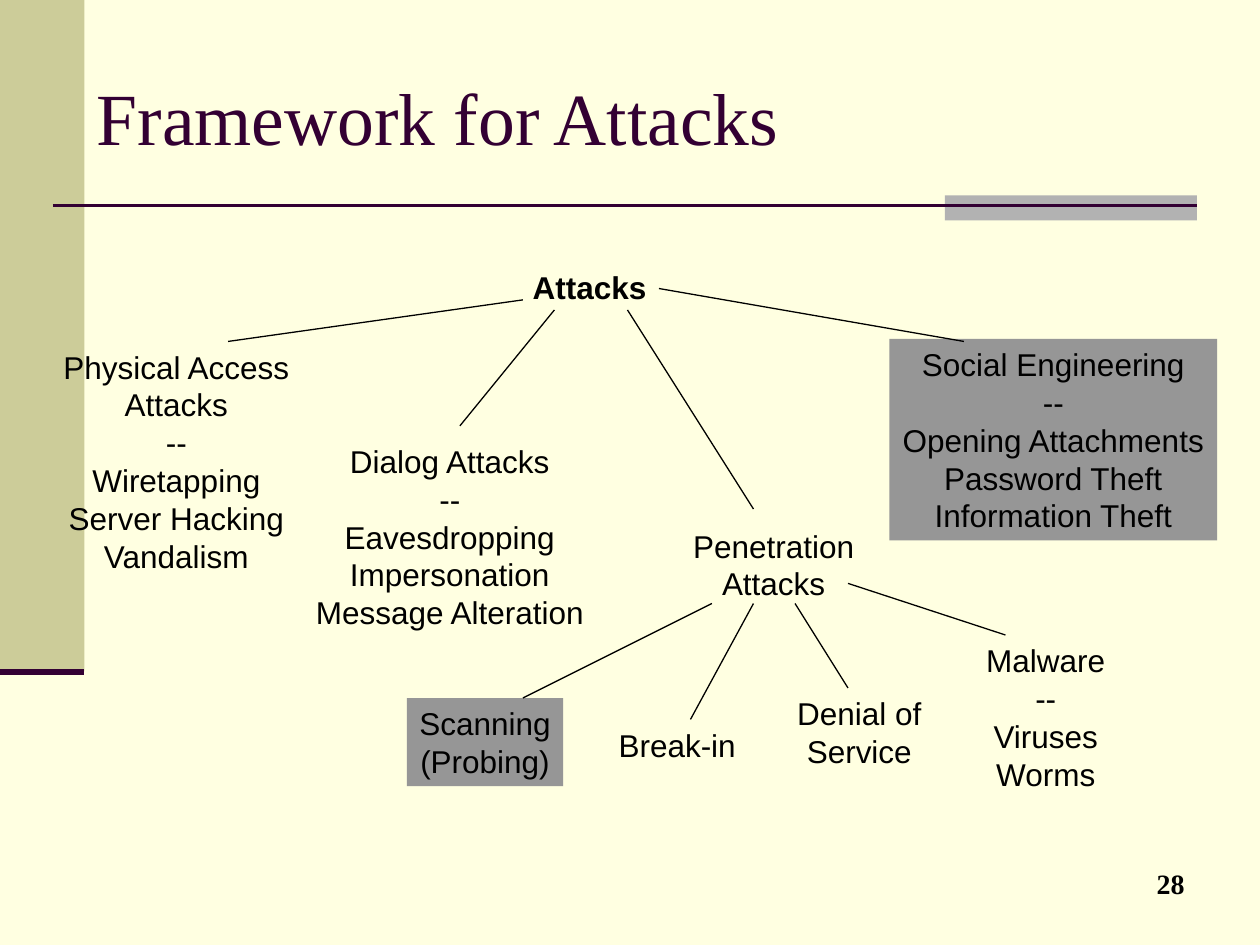
from dataclasses import dataclass

import pptx
import pptx.dml.color
import pptx.enum.shapes
import pptx.enum.text
import pptx.oxml
import pptx.oxml.ns
import pptx.slide
import pptx.util

COLUMNS, ROWS = 100, 75
CELL = pptx.util.Inches(0.1)
LINE_ROWS, PADDING_ROWS = 3, 1
COLORS = {
    "background": "FFFFE1",
    "sidebar": "CCCC99",
    "accent": "B2B2B2",
    "title": "330033",
    "highlight": "969696",
    "text": "000000",
}
ALIGN = pptx.enum.text.PP_ALIGN
ANCHOR = pptx.enum.text.MSO_ANCHOR
AUTO_SIZE = pptx.enum.text.MSO_AUTO_SIZE


@dataclass(frozen=True)
class Block:
    column: float
    row: float
    columns: float
    rows: float
    color: str


@dataclass(frozen=True)
class Rule:
    column: float
    row: float
    end_column: float
    end_row: float
    color: str = "text"
    weight: float = 0.75


@dataclass(frozen=True)
class Label:
    column: float
    row: float
    columns: float
    lines: tuple[str, ...]
    rows: float | None = None
    highlighted: bool = False
    align: ALIGN = ALIGN.CENTER
    anchor: ANCHOR = ANCHOR.TOP
    wrap: bool = False
    font: str = "Arial"
    size: float = 18
    bold: bool = False
    color: str = "text"


DECORATION = (
    Block(0, 0, 6.7, 53.3, "sidebar"),
    Block(75, 15.5, 20, 2, "accent"),
)
DECORATION_RULES = (
    Rule(4.2, 16.3, 95, 16.3, "title", 1.5),
    Rule(0, 53.3, 6.7, 53.3, "title", 3.5),
)
LABELS = (
    Label(6.7, 3, 85, ("Framework for Attacks",), rows=12.5, align=ALIGN.LEFT,
          anchor=ANCHOR.MIDDLE, wrap=True, font="Times New Roman", size=42, color="title"),
    Label(41.3, 20.8, 11, ("Attacks",), align=ALIGN.LEFT, bold=True),
    Label(4, 27.1, 20, ("Physical Access", "Attacks", "--", "Wiretapping",
                        "Server Hacking", "Vandalism")),
    Label(24, 34.6, 23.4, ("Dialog Attacks", "--", "Eavesdropping", "Impersonation",
                           "Message Alteration")),
    Label(54, 41.3, 14.8, ("Penetration", "Attacks")),
    Label(70.6, 26.9, 26, ("Social Engineering", "--", "Opening Attachments",
                           "Password Theft", "Information Theft"), highlighted=True),
    Label(32.3, 55.4, 12.4, ("Scanning", "(Probing)"), highlighted=True),
    Label(48.1, 57.1, 11.3, ("Break-in",)),
    Label(62.2, 54.6, 12, ("Denial of", "Service")),
    Label(77.2, 50.4, 11.6, ("Malware", "--", "Viruses", "Worms")),
    Label(74.2, 68.3, 20.8, ("28",), rows=5, align=ALIGN.RIGHT, wrap=True,
          font="Times New Roman", size=16, bold=True),
)
BRANCHES = (
    Rule(41.5, 23.8, 18.1, 27.1),
    Rule(44, 24.6, 36.5, 33.8),
    Rule(52.3, 22.9, 76.5, 27.1),
    Rule(49.8, 24.6, 59.8, 40.4),
    Rule(67.3, 46.3, 79.8, 50.4),
    Rule(63.1, 47.9, 67.3, 54.6),
    Rule(59.8, 47.9, 54.8, 57.1),
    Rule(56.5, 47.9, 41.5, 55.4),
)


def cells(*counts: float) -> list[int]:
    return [round(count * CELL) for count in counts]


def rgb(name: str) -> pptx.dml.color.RGBColor:
    return pptx.dml.color.RGBColor.from_string(COLORS[name])


def draw_block(slide: pptx.slide.Slide, block: Block) -> None:
    shape = slide.shapes.add_shape(
        pptx.enum.shapes.MSO_SHAPE.RECTANGLE,
        *cells(block.column, block.row, block.columns, block.rows))
    shape.shadow.inherit = False
    shape.fill.solid()
    shape.fill.fore_color.rgb = rgb(block.color)
    shape.line.fill.background()


def draw_rule(slide: pptx.slide.Slide, rule: Rule) -> None:
    connector = slide.shapes.add_connector(
        pptx.enum.shapes.MSO_CONNECTOR.STRAIGHT,
        *cells(rule.column, rule.row, rule.end_column, rule.end_row))
    connector.line.color.rgb = rgb(rule.color)
    connector.line.width = pptx.util.Pt(rule.weight)
    properties = connector._element.spPr
    properties.append(pptx.oxml.parse_xml(
        f"<a:effectLst {pptx.oxml.ns.nsdecls('a')}/>"))


def draw_label(slide: pptx.slide.Slide, label: Label) -> None:
    rows = label.rows or LINE_ROWS * len(label.lines) + PADDING_ROWS
    shape = slide.shapes.add_textbox(*cells(label.column, label.row, label.columns, rows))
    if label.highlighted:
        shape.fill.solid()
        shape.fill.fore_color.rgb = rgb("highlight")
    frame = shape.text_frame
    frame.word_wrap = label.wrap
    frame.auto_size = AUTO_SIZE.NONE if label.wrap else AUTO_SIZE.SHAPE_TO_FIT_TEXT
    frame.vertical_anchor = label.anchor
    frame.text = "\n".join(label.lines)
    for paragraph in frame.paragraphs:
        paragraph.alignment = label.align
        paragraph.font.name = label.font
        paragraph.font.size = pptx.util.Pt(label.size)
        paragraph.font.bold = label.bold
        paragraph.font.color.rgb = rgb(label.color)


def main() -> None:
    presentation = pptx.Presentation()
    presentation.slide_width, presentation.slide_height = cells(COLUMNS, ROWS)
    slide = presentation.slides.add_slide(presentation.slide_layouts[6])
    slide.background.fill.solid()
    slide.background.fill.fore_color.rgb = rgb("background")
    for block in DECORATION:
        draw_block(slide, block)
    for rule in DECORATION_RULES:
        draw_rule(slide, rule)
    for label in LABELS:
        draw_label(slide, label)
    for branch in BRANCHES:
        draw_rule(slide, branch)
    presentation.save("out.pptx")


if __name__ == "__main__":
    main()
